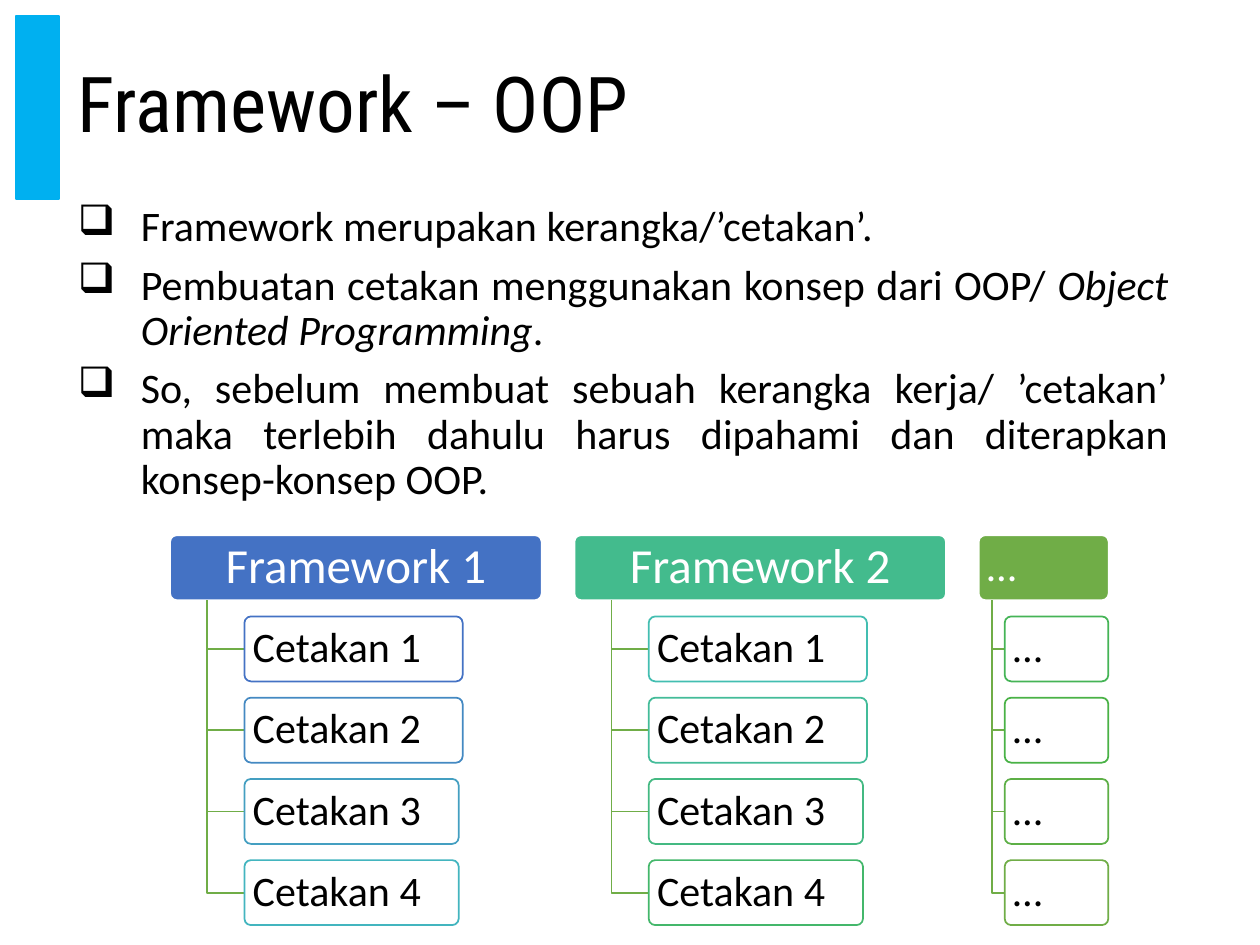
from dataclasses import dataclass
from lxml import etree
from pptx import Presentation
from pptx.dml.color import RGBColor
from pptx.enum import shapes, text
from pptx.oxml.ns import qn
from pptx.util import Cm, Pt

TITLE = "Framework – OOP"
# Each bullet is a list of (text, italic) runs.
BULLETS = [
    [("Framework merupakan kerangka/’cetakan’.", False)],
    [("Pembuatan cetakan menggunakan konsep dari OOP/ ", False),
     ("Object Oriented Programming", True), (".", False)],
    [("So, sebelum membuat sebuah kerangka kerja/ ’cetakan’ maka terlebih dahulu "
      "harus dipahami dan diterapkan konsep-konsep OOP.", False)],
]
CETAKAN = ["Cetakan 1", "Cetakan 2", "Cetakan 3", "Cetakan 4"]
FRAMEWORKS = [
    dict(name="Framework 1", width=7.49, fill="4472C4", children=CETAKAN,
         child_widths=[4.4, 4.4, 4.32, 4.32],
         outlines=["4472C4", "4489C2", "449FC1", "43B5BF"]),
    dict(name="Framework 2", width=7.49, fill="43BB8D", children=CETAKAN,
         child_widths=[4.4, 4.4, 4.32, 4.32],
         outlines=["43BEB1", "43BC99", "44B982", "44B76B"]),
    dict(name="…", width=2.62, fill="70AD47", children=["…"] * 4,
         child_widths=[2.09] * 4,
         outlines=["45B456", "49B246", "5DAF46", "70AD47"]),
]


@dataclass(frozen=True)
class Theme:
    accent: str = "00B0F0"
    branch: str = "70AD47"
    dark: str = "000000"
    light: str = "FFFFFF"
    title_font: str = "Roboto Condensed"
    body_font: str = "Calibri"
    title_size: int = 44
    head_size: int = 28
    body_size: int = 24


THEME = Theme()
TREE_LEFT, TREE_TOP = 3.43, 10.79
BOX_HEIGHT = 1.31
ROW_PITCH = BOX_HEIGHT * 1.25
COLUMN_GAP = 0.66
TRUNK_SHARE, CHILD_SHARE = 0.1, 0.2  # of the head's width


def rgb(value):
    return RGBColor.from_string(value)


def write(paragraph, content, size=THEME.body_size, font=THEME.body_font,
          color=THEME.dark, italic=False, align=text.PP_ALIGN.LEFT):
    paragraph.alignment = align
    paragraph.line_spacing = 0.9
    run = paragraph.add_run()
    run.text = content
    run.font.name = font
    run.font.size = Pt(size)
    run.font.italic = italic
    run.font.color.rgb = rgb(color)


def set_frame(frame, insets, anchor):
    frame.word_wrap = True
    frame.auto_size = text.MSO_AUTO_SIZE.NONE
    frame.vertical_anchor = anchor
    frame.margin_left = frame.margin_right = Cm(insets[0])
    frame.margin_top = frame.margin_bottom = Cm(insets[1])


def add_bullet(paragraph, char, indent):
    properties = paragraph._p.get_or_add_pPr()
    properties.set("marL", str(indent))
    properties.set("indent", str(-indent))
    etree.SubElement(properties, qn("a:buChar")).set("char", char)


def add_box(slide, preset, left, top, width, height, fill, outline, opacity=100):
    box = slide.shapes.add_shape(preset, Cm(left), Cm(top), Cm(width), Cm(height))
    box.shadow.inherit = False
    box.fill.solid()
    box.fill.fore_color.rgb = rgb(fill)
    box.line.color.rgb = rgb(outline)
    box.line.width = Pt(1)
    if opacity < 100:
        color = box.fill._xPr.find(qn("a:solidFill"))[0]
        etree.SubElement(color, qn("a:alpha")).set("val", str(opacity * 1000))
    return box


def add_node(slide, content, left, top, width, fill, outline, opacity=100, **style):
    node = add_box(slide, shapes.MSO_SHAPE.ROUNDED_RECTANGLE, left, top, width,
                   BOX_HEIGHT, fill, outline, opacity)
    node.adjustments[0] = 0.1
    set_frame(node.text_frame, (0.13, 0.08), text.MSO_ANCHOR.MIDDLE)
    write(node.text_frame.paragraphs[0], content, **style)


def add_branch(slide, trunk, top, child_left, child_middle):
    builder = slide.shapes.build_freeform(Cm(trunk), Cm(top))
    builder.add_line_segments(
        [(Cm(trunk), Cm(child_middle)), (Cm(child_left), Cm(child_middle))], close=False)
    branch = builder.convert_to_shape()
    branch.shadow.inherit = False
    branch.fill.background()
    branch.line.color.rgb = rgb(THEME.branch)
    branch.line.width = Pt(1)


def add_framework(slide, framework, left):
    """Draw one head with its children hanging from a trunk."""
    width = framework["width"]
    named = framework["name"] != "…"
    add_node(slide, framework["name"], left, TREE_TOP, width, framework["fill"],
             THEME.light, color=THEME.light,
             size=THEME.head_size if named else THEME.body_size,
             align=text.PP_ALIGN.CENTER if named else text.PP_ALIGN.LEFT)
    trunk = left + TRUNK_SHARE * width
    child_left = left + CHILD_SHARE * width
    rows = zip(framework["children"], framework["child_widths"], framework["outlines"])
    for row, (content, child_width, outline) in enumerate(rows, start=1):
        top = TREE_TOP + row * ROW_PITCH
        add_branch(slide, trunk, TREE_TOP + BOX_HEIGHT, child_left, top + BOX_HEIGHT / 2)
        add_node(slide, content, child_left, top, child_width, THEME.light, outline,
                 opacity=90)


def add_title(slide):
    title = slide.shapes.title
    title.left, title.top, title.width, title.height = Cm(1.32), Cm(0.33), Cm(23.11), Cm(3.68)
    set_frame(title.text_frame, (0.25, 0.13), text.MSO_ANCHOR.MIDDLE)
    write(title.text_frame.paragraphs[0], TITLE, size=THEME.title_size,
          font=THEME.title_font)


def add_body(slide):
    body = slide.shapes.add_textbox(Cm(1.32), Cm(4.01), Cm(22.48), Cm(13.49))
    frame = body.text_frame
    set_frame(frame, (0.25, 0.13), text.MSO_ANCHOR.TOP)
    for index, runs in enumerate(BULLETS):
        paragraph = frame.add_paragraph() if index else frame.paragraphs[0]
        for content, italic in runs:
            write(paragraph, content, italic=italic, align=text.PP_ALIGN.JUSTIFY)
        paragraph.space_before = Pt(7.5)
        add_bullet(paragraph, "❑", Cm(1.27))


def main():
    presentation = Presentation()
    presentation.slide_width, presentation.slide_height = Cm(25.4), Cm(19.05)
    slide = presentation.slides.add_slide(presentation.slide_layouts[5])
    add_box(slide, shapes.MSO_SHAPE.RECTANGLE, 0.33, 0.33, 0.86, 3.68,
            THEME.accent, THEME.accent)
    add_title(slide)
    add_body(slide)
    left = TREE_LEFT
    for framework in FRAMEWORKS:
        add_framework(slide, framework, left)
        left += framework["width"] + COLUMN_GAP
    presentation.save("out.pptx")


if __name__ == "__main__":
    main()
